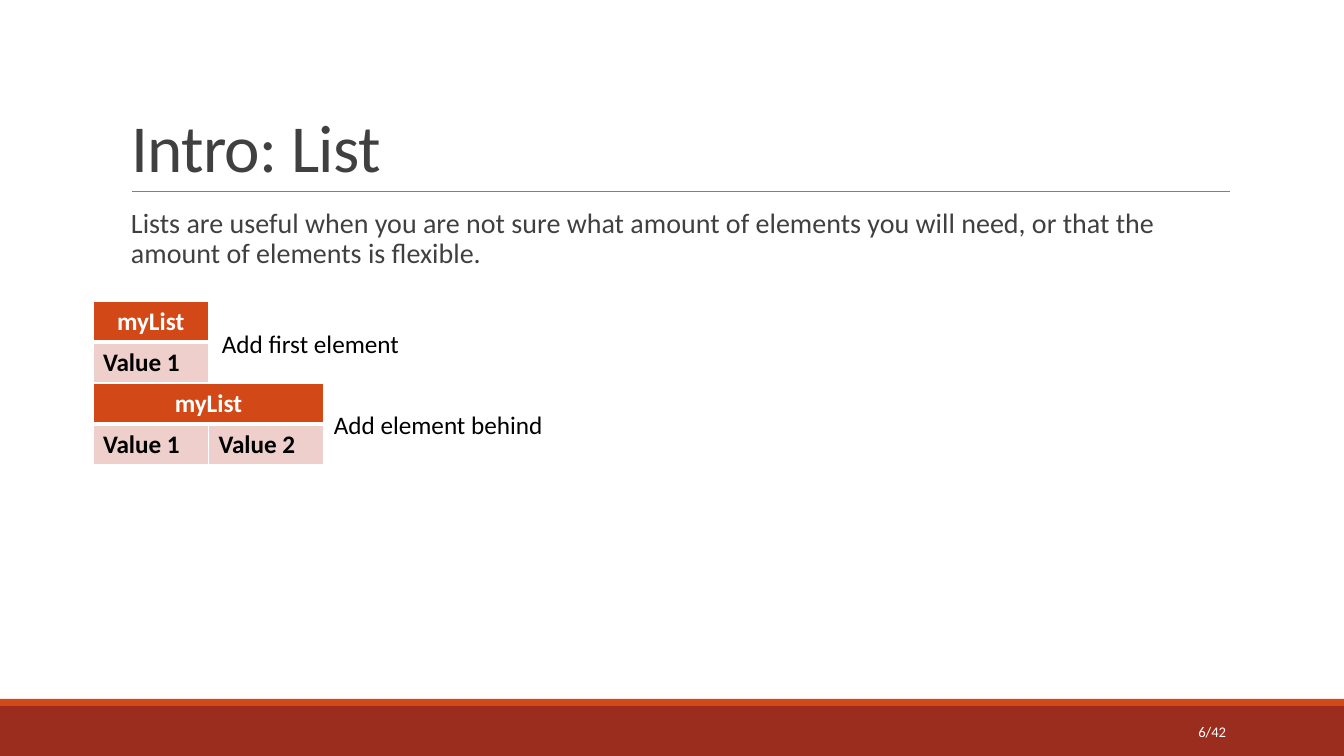
from lxml import etree
from pptx import Presentation
from pptx.dml.color import RGBColor
from pptx.enum.shapes import MSO_CONNECTOR, MSO_SHAPE
from pptx.enum.text import MSO_ANCHOR, MSO_AUTO_SIZE, PP_ALIGN
from pptx.oxml import parse_xml
from pptx.oxml.ns import nsdecls, qn
from pptx.util import Emu, Pt

SCALE = 914400 / 100.8
FONT = "Calibri"
ORANGE, RED, PINK = "D34817", "9B2D1F", "EFCFCC"
WHITE, BLACK, DARK, GRAY = "FFFFFF", "000000", "404040", "808080"
COL_W, ROW_H = 115.5, 41


def px(n):
    """Turn pixels into EMU."""
    return Emu(round(n * SCALE))


def rgb(value):
    """Turn a hex string into a colour."""
    return RGBColor.from_string(value)


def place(sp, x, y, w, h):
    """Move and size a shape in pixels."""
    sp.left, sp.top, sp.width, sp.height = px(x), px(y), px(w), px(h)


def add_run(p, text, size, color, bold=False):
    """Add one formatted run to a paragraph."""
    r = p.add_run()
    r.text = text
    f = r.font
    f.name, f.size, f.bold = FONT, Pt(size), bold
    f.color.rgb = rgb(color)
    return r


def add_label(s, x, y, w, h, text, size=18, color=BLACK, align=PP_ALIGN.LEFT,
              wrap=False):
    """Add a text box with one line."""
    tf = s.shapes.add_textbox(px(x), px(y), px(w), px(h)).text_frame
    tf.word_wrap = wrap
    tf.vertical_anchor = MSO_ANCHOR.MIDDLE if wrap else MSO_ANCHOR.TOP
    p = tf.paragraphs[0]
    p.alignment = align
    add_run(p, text, size, color)


def add_title(s, x, y, w, h, text):
    """Fill the title placeholder and draw the rule below it."""
    sp = s.shapes.title
    place(sp, x, y, w, h)
    tf = sp.text_frame
    tf.word_wrap, tf.auto_size = True, MSO_AUTO_SIZE.NONE
    tf.vertical_anchor = MSO_ANCHOR.BOTTOM
    p = tf.paragraphs[0]
    p.alignment, p.line_spacing = PP_ALIGN.LEFT, 0.85
    r = add_run(p, text, 48, DARK)
    r.font._element.set("spc", "-50")
    rule = s.shapes.add_connector(MSO_CONNECTOR.STRAIGHT, px(x + 11), px(y + h),
                                  px(x + w), px(y + h))
    rule.line.color.rgb, rule.line.width = rgb(GRAY), Pt(0.5)
    etree.SubElement(rule._element.spPr, qn("a:effectLst"))


def add_body(s, x, y, w, h, text):
    """Fill the body placeholder with one blank-bulleted paragraph."""
    sp = s.placeholders[1]
    place(sp, x, y, w, h)
    tf = sp.text_frame
    tf.word_wrap, tf.auto_size = True, MSO_AUTO_SIZE.NONE
    tf.vertical_anchor = MSO_ANCHOR.TOP
    tf.margin_left = tf.margin_right = 0
    tf.margin_top = tf.margin_bottom = px(5)
    p = tf.paragraphs[0]
    p.alignment, p.line_spacing = PP_ALIGN.LEFT, 0.9
    p.space_before, p.space_after = Pt(12), Pt(2)
    pPr = p._p.get_or_add_pPr()
    pPr.set("marL", str(px(10)))
    pPr.set("indent", str(-px(10)))
    pPr.append(parse_xml(f'<a:buChar {nsdecls("a")} char=" "/>'))
    add_run(p, text, 20, DARK)


def format_cell(cell, fill, bottom):
    """Set a cell's fill and white borders."""
    cell.fill.solid()
    cell.fill.fore_color.rgb = rgb(fill)
    tcPr = cell._tc.get_or_add_tcPr()
    for i, (side, width) in enumerate(zip("LRTB", (1, 1, 1, bottom))):
        tcPr.insert(i, parse_xml(
            f'<a:ln{side} {nsdecls("a")} w="{Pt(width)}"><a:solidFill>'
            f'<a:srgbClr val="{WHITE}"/></a:solidFill></a:ln{side}>'))


def add_list_table(s, x, y, name, values):
    """Draw a list as a header over a row of values."""
    n = len(values)
    table = s.shapes.add_table(2, n, px(x), px(y), px(n * COL_W),
                               px(2 * ROW_H)).table
    for col in table.columns:
        col.width = px(COL_W)
    for i, value in enumerate(values):
        format_cell(table.cell(0, i), ORANGE, 3)
        format_cell(table.cell(1, i), PINK, 1)
        add_run(table.cell(1, i).text_frame.paragraphs[0], value, 18, BLACK, True)
    head = table.cell(0, 0)
    if n > 1:
        head.merge(table.cell(0, n - 1))
    p = head.text_frame.paragraphs[0]
    p.alignment = PP_ALIGN.CENTER
    add_run(p, name, 18, WHITE, True)


def add_footer(s, x, y, w, h, number):
    """Draw the footer bands and the page number."""
    for top, height, color in ((y + 7, h - 7, RED), (y, 7, ORANGE)):
        sp = s.shapes.add_shape(MSO_SHAPE.RECTANGLE, px(x), px(top), px(w),
                                px(height))
        sp.shadow.inherit = False
        sp.fill.solid()
        sp.fill.fore_color.rgb = rgb(color)
        sp.line.fill.background()
    add_label(s, x + 1092, y + 13, 144, 40, number, 10.5, WHITE,
              PP_ALIGN.RIGHT, True)


prs = Presentation()
prs.slide_width, prs.slide_height = px(1344), px(756)
s = prs.slides.add_slide(prs.slide_layouts[1])
add_footer(s, 0, 699, 1344, 57, "6/42")
add_title(s, 121, 31, 1109, 160, "Intro: List")
add_body(s, 121, 204, 1109, 444,
         "Lists are useful when you are not sure what amount of elements you "
         "will need, or that the amount of elements is flexible.")
add_list_table(s, 93, 383, "myList", ["Value 1", "Value 2"])
add_list_table(s, 93, 301, "myList", ["Value 1"])
add_label(s, 324, 404, 232, 40, "Add element behind")
add_label(s, 212, 323, 200, 40, "Add first element")
prs.save("out.pptx")
